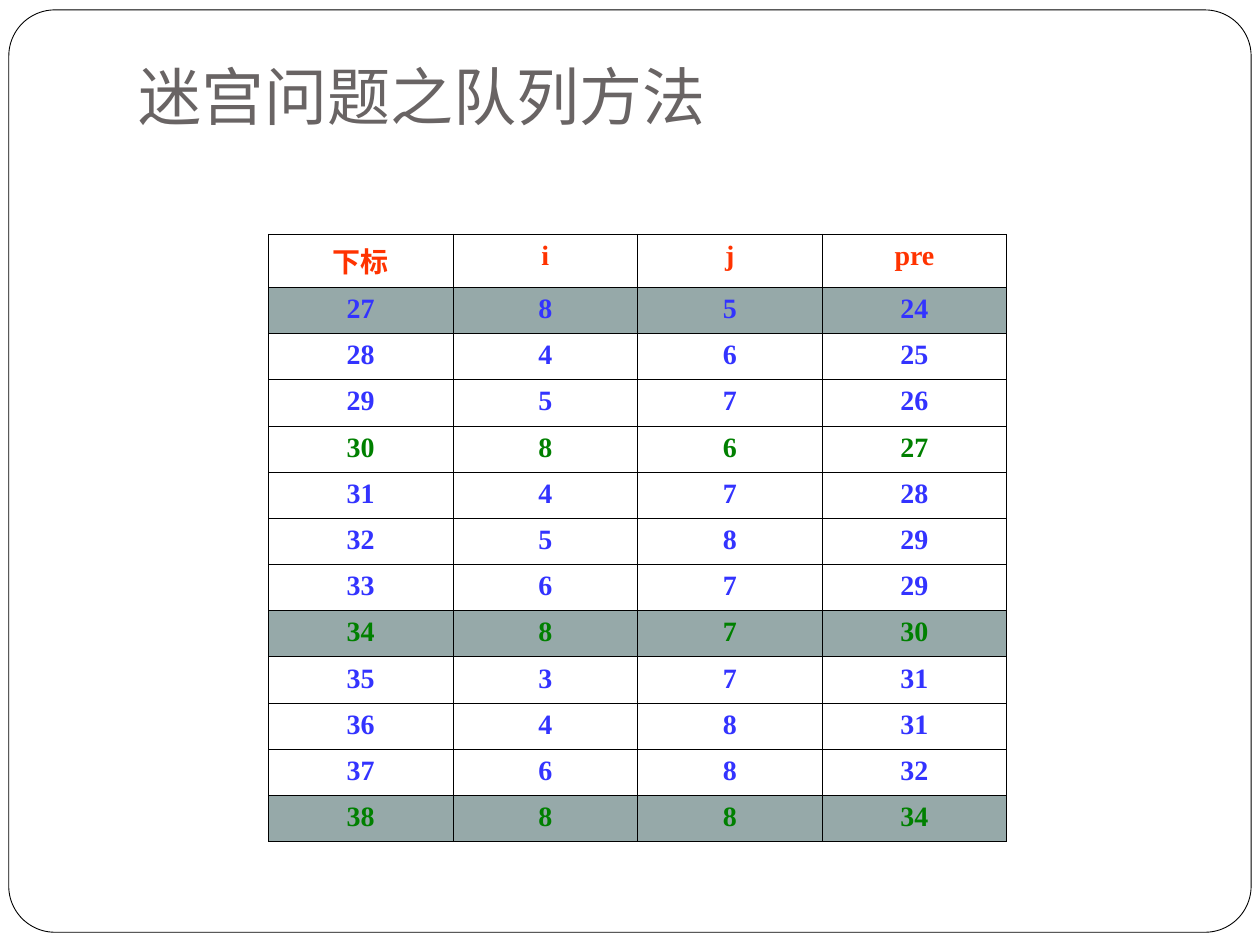
from lxml import etree
from pptx import Presentation
from pptx import util as u
from pptx.dml import color
from pptx.enum import shapes, text
from pptx.oxml import ns

SLIDE_WIDTH, SLIDE_HEIGHT = u.Inches(10), u.Inches(7.5)
RED, BLUE, GREEN, SHADE = "FF3300", "3333FF", "008000", "96A9A9"
HEADINGS = ("下标", "i", "j", "pre")
QUEUE = (
    (27, 8, 5, 24), (28, 4, 6, 25), (29, 5, 7, 26), (30, 8, 6, 27),
    (31, 4, 7, 28), (32, 5, 8, 29), (33, 6, 7, 29), (34, 8, 7, 30),
    (35, 3, 7, 31), (36, 4, 8, 31), (37, 6, 8, 32), (38, 8, 8, 34),
)
EXIT_PATH = {30, 34, 38}
SHADED = {27, 34, 38}


def paint(target, value):
    target.rgb = color.RGBColor.from_string(value)


def share_box(left, top, width, height):
    return (int(SLIDE_WIDTH * left / 100), int(SLIDE_HEIGHT * top / 100),
            int(SLIDE_WIDTH * width / 100), int(SLIDE_HEIGHT * height / 100))


def style_span(span, face, size, tint, bold=False):
    span.font.name = face
    span.font.size = u.Pt(size)
    span.font.bold = bold
    paint(span.font.color, tint)


def add_frame(page, box):
    frame = page.shapes.add_shape(shapes.MSO_SHAPE.ROUNDED_RECTANGLE, *box)
    frame.adjustments[0] = 0.05
    frame.shadow.inherit = False
    frame.fill.solid()
    paint(frame.fill.fore_color, "FFFFFF")
    paint(frame.line.color, "000000")
    frame.line.width = u.Pt(0.5)
    page.shapes.element.insert(2, frame.element)


def add_title(page, box, words):
    title = page.shapes.title
    title.left, title.top, title.width, title.height = box
    body = title.text_frame
    body.text = words
    body.auto_size = text.MSO_AUTO_SIZE.NONE
    body.vertical_anchor = text.MSO_ANCHOR.BOTTOM
    body.margin_bottom = u.Inches(0.1)
    para = body.paragraphs[0]
    para.alignment = text.PP_ALIGN.LEFT
    style_span(para.runs[0], "Lato", 36, "696464")


def add_borders(cell):
    properties = cell._tc.get_or_add_tcPr()
    for position, side in enumerate(("a:lnL", "a:lnR", "a:lnT", "a:lnB")):
        edge = etree.Element(ns.qn(side), w=str(u.Pt(0.45)))
        fill = etree.SubElement(edge, ns.qn("a:solidFill"))
        etree.SubElement(fill, ns.qn("a:srgbClr"), val="000000")
        properties.insert(position, edge)


def fill_cell(cell, words, tint, shaded):
    cell.text = str(words)
    para = cell.text_frame.paragraphs[0]
    para.alignment = text.PP_ALIGN.CENTER
    style_span(para.runs[0], "Times New Roman", 16, tint, bold=True)
    if shaded:
        cell.fill.solid()
        paint(cell.fill.fore_color, SHADE)
    else:
        cell.fill.background()
    add_borders(cell)


def add_queue_table(page, box):
    rows = (HEADINGS,) + QUEUE
    table = page.shapes.add_table(len(rows), len(HEADINGS), *box).table
    table.first_row = table.horz_banding = False
    for row_number, row in enumerate(rows):
        index = row[0]
        tint = RED if row is HEADINGS else GREEN if index in EXIT_PATH else BLUE
        for column_number, words in enumerate(row):
            cell = table.cell(row_number, column_number)
            fill_cell(cell, words, tint, index in SHADED)


def main():
    deck = Presentation()
    deck.slide_width, deck.slide_height = SLIDE_WIDTH, SLIDE_HEIGHT
    page = deck.slides.add_slide(deck.slide_layouts[5])
    add_frame(page, share_box(0.7, 1.05, 98.6, 97.6))
    add_title(page, share_box(10, 2.8, 85, 12.67), "迷宫问题之队列方法")
    add_queue_table(page, share_box(21.3, 24.8, 58.6, 63.6))
    deck.save("out.pptx")


if __name__ == "__main__":
    main()
